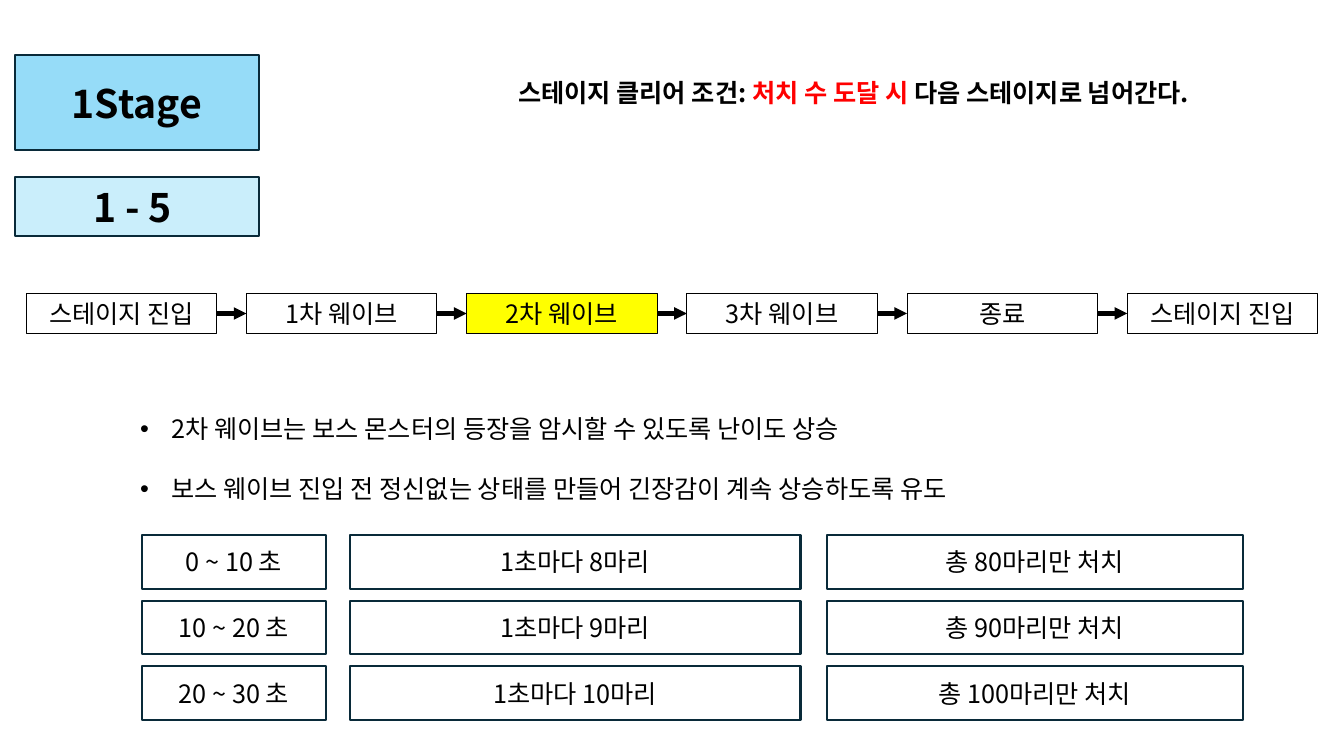
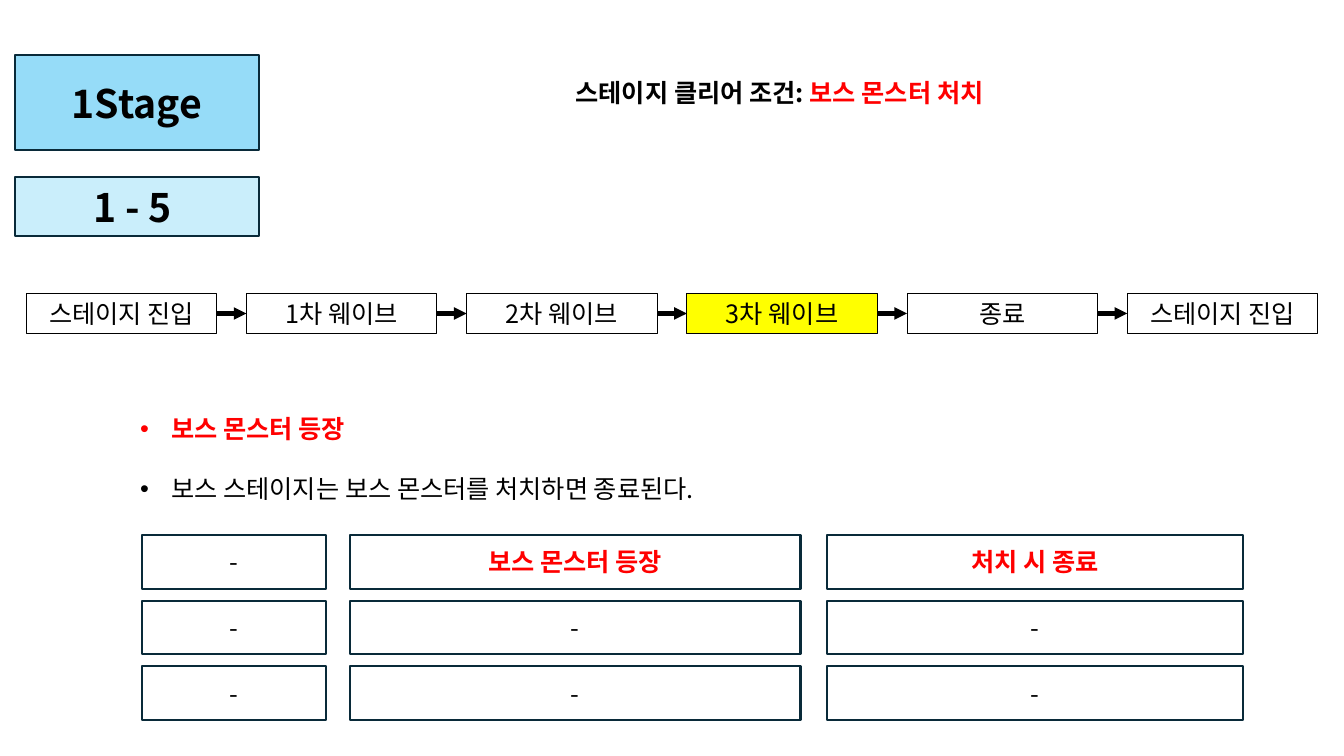
"""Builds two slides describing the waves of a game stage."""
from lxml.etree import SubElement
from pptx import Presentation
from pptx.dml.color import RGBColor
from pptx.enum.shapes import MSO_CONNECTOR as LINK, MSO_SHAPE as SHAPE
from pptx.enum.text import MSO_ANCHOR as ANCHOR, MSO_AUTO_SIZE as FIT, PP_ALIGN as ALIGN
from pptx.oxml.ns import qn
from pptx.util import Inches, Pt

FONT = "Noto Sans CJK KR"
HEX = {"black": "000000", "red": "FF0000", "navy": "092A39", "sky": "96DCF8",
       "pale": "CAEEFB", "mark": "FFFF00"}

STAGE, LEVEL = "1Stage", "1 - 5 "
STEPS = ["스테이지 진입", "1차 웨이브", "2차 웨이브", "3차 웨이브", "종료", "스테이지 진입"]
GOAL = ("스테이지 클리어 조건: ", "black", True)
BOSS = ("보스 몬스터 등장", "red", True)

SLIDES = [
    {"step": 2, "left": 5.04,
     "goal": [GOAL, ("처치 수 도달 시 ", "red", True), ("다음 스테이지로 넘어간다.", "black", True)],
     "notes": ["2차 웨이브는 보스 몬스터의 등장을 암시할 수 있도록 난이도 상승",
               "보스 웨이브 진입 전 정신없는 상태를 만들어 긴장감이 계속 상승하도록 유도"],
     "rows": [("0 ~ 10 초", "1초마다 8마리", "총 80마리만 처치"),
              ("10 ~ 20 초", "1초마다 9마리", "총 90마리만 처치"),
              ("20 ~ 30 초", "1초마다 10마리", "총 100마리만 처치")]},
    {"step": 3, "left": 5.61,
     "goal": [GOAL, ("보스 몬스터 처치", "red", True)],
     "notes": [BOSS, "보스 스테이지는 보스 몬스터를 처치하면 종료된다."],
     "rows": [("-", BOSS, ("처치 시 종료", "red", True)),
              ("-", "-", "-"),
              ("-", "-", "-")]},
]

RIGHT = 13
COLS = [(1.41, 1.82), (3.47, 4.47), (8.2, 4.13)]
ROW_TOP, ROW_GAP, ROW_H = 5.31, 0.65, 0.53
STEP_LEFT, STEP_TOP, STEP_GAP, STEP_W, STEP_H = 0.26, 2.91, 2.184, 1.89, 0.4


def color(name):
    return RGBColor.from_string(HEX[name])


def write(para, items, size=18):
    for item in items:
        text, tint, bold = (item, "black", False) if isinstance(item, str) else item
        run = para.add_run()
        run.text = text
        font = run.font
        font.name, font.size, font.bold = FONT, Pt(size), bold
        font.color.rgb = color(tint)
        SubElement(run._r.get_or_add_rPr(), qn("a:ea"), typeface=FONT)


def place(shape, left, top, width, height):
    shape.left, shape.top = Inches(left), Inches(top)
    shape.width, shape.height = Inches(width), Inches(height)


def style(shape, item, fill=None, line="navy", weight=1.5, size=18):
    if fill:
        shape.fill.solid()
        shape.fill.fore_color.rgb = color(fill)
    else:
        shape.fill.background()
    shape.line.color.rgb = color(line)
    shape.line.width = Pt(weight)
    frame = shape.text_frame
    frame.auto_size, frame.word_wrap = FIT.NONE, True
    frame.vertical_anchor = ANCHOR.MIDDLE
    para = frame.paragraphs[0]
    para.alignment = ALIGN.CENTER
    write(para, [item], size)


def box(slide, spot, item, **look):
    shape = slide.shapes.add_shape(SHAPE.RECTANGLE, *map(Inches, spot))
    shape.shadow.inherit = False
    style(shape, item, **look)
    return shape


def arrow(slide, start, end):
    link = slide.shapes.add_connector(LINK.STRAIGHT, 0, 0, 0, 0)
    link.begin_connect(start, 3)
    link.end_connect(end, 1)
    link.line.color.rgb = color("black")
    link.line.width = Pt(3)
    SubElement(link.line._get_or_add_ln(), qn("a:tailEnd"), type="triangle")
    SubElement(link._element.spPr, qn("a:effectLst"))


def head(slide, left, goal):
    place(slide.shapes.title, 0.15, 0.55, 2.42, 0.94)
    style(slide.shapes.title, (STAGE, "black", True), fill="sky", size=28)
    box(slide, (0.15, 1.76, 2.42, 0.58), (LEVEL, "black", True), fill="pale", size=28)
    spot = left, 0.72, RIGHT - left, 0.4
    frame = slide.shapes.add_textbox(*map(Inches, spot)).text_frame
    frame.word_wrap = True
    write(frame.paragraphs[0], goal)


def flow(slide, active):
    last = None
    for i, name in enumerate(STEPS):
        spot = STEP_LEFT + i * STEP_GAP, STEP_TOP, STEP_W, STEP_H
        fill = "mark" if i == active else None
        step = box(slide, spot, name, fill=fill, line="black", weight=0.75)
        if last:
            arrow(slide, last, step)
        last = step


def notes(slide, items):
    body = slide.placeholders[1]
    place(body, 1.29, 3.75, 10.92, 1.22)
    frame = body.text_frame
    frame.auto_size = FIT.NONE
    for i, item in enumerate(items):
        para = frame.add_paragraph() if i else frame.paragraphs[0]
        para.line_spacing, para.space_before = 2.0, Pt(0)
        props = para._p.get_or_add_pPr()
        props.set("marL", str(Inches(0.31)))
        props.set("indent", str(-Inches(0.31)))
        write(para, [item])


def grid(slide, rows):
    for i, row in enumerate(rows):
        for (left, width), item in zip(COLS, row):
            box(slide, (left, ROW_TOP + i * ROW_GAP, width, ROW_H), item)


def main():
    deck = Presentation()
    deck.slide_width, deck.slide_height = Inches(13.33), Inches(7.5)
    for data in SLIDES:
        slide = deck.slides.add_slide(deck.slide_layouts[1])
        head(slide, data["left"], data["goal"])
        flow(slide, data["step"])
        notes(slide, data["notes"])
        grid(slide, data["rows"])
    deck.save("out.pptx")


if __name__ == "__main__":
    main()
